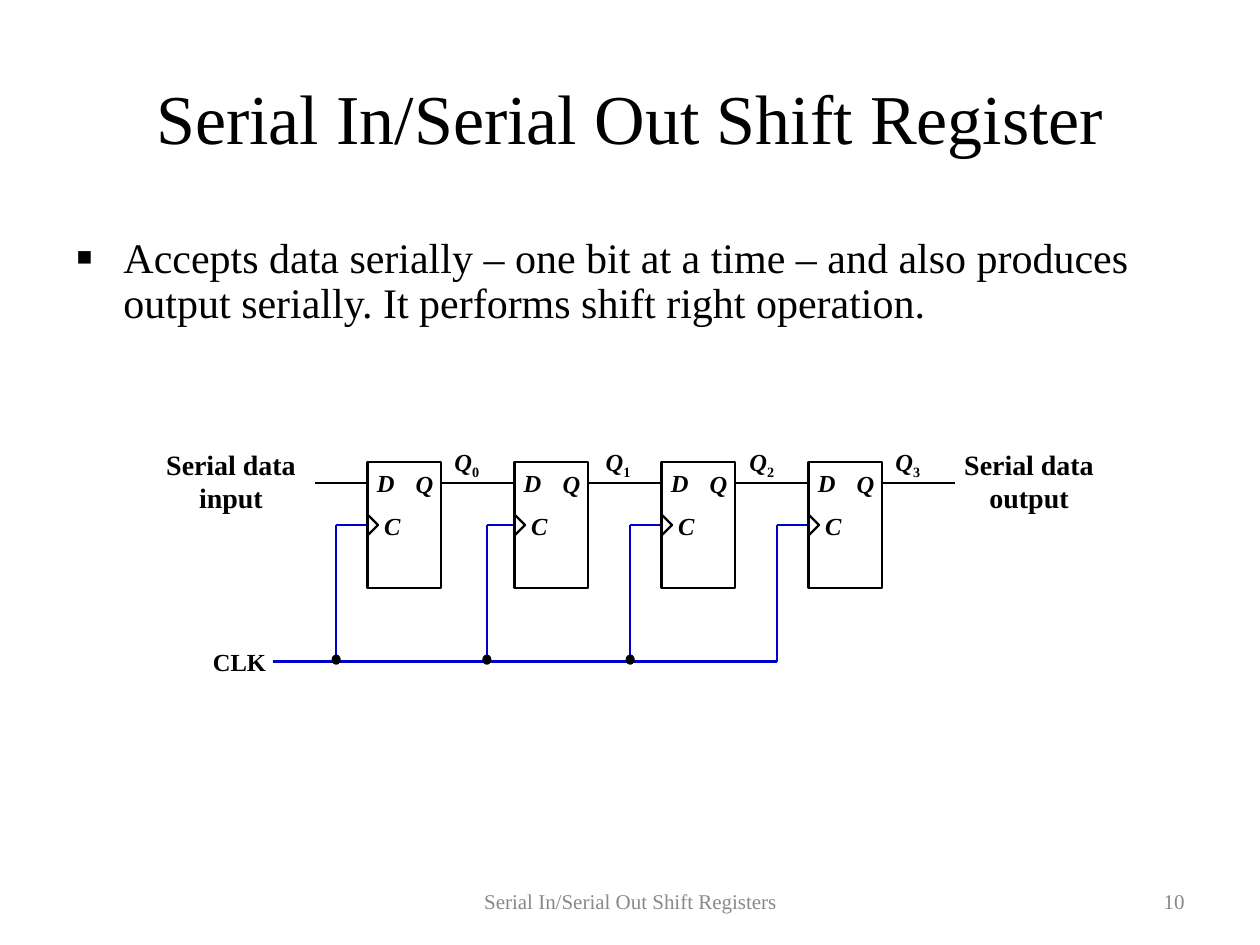
from lxml import etree
from pptx import Presentation
from pptx.dml.color import RGBColor
from pptx.enum.shapes import MSO_CONNECTOR, MSO_SHAPE
from pptx.enum.text import MSO_ANCHOR, MSO_AUTO_SIZE, PP_ALIGN
from pptx.oxml.ns import qn
from pptx.util import Inches, Pt

LEFT, CENTER, RIGHT = PP_ALIGN.LEFT, PP_ALIGN.CENTER, PP_ALIGN.RIGHT
TOP, MIDDLE = MSO_ANCHOR.TOP, MSO_ANCHOR.MIDDLE
STRAIGHT = MSO_CONNECTOR.STRAIGHT
RECTANGLE, OVAL, TRIANGLE = MSO_SHAPE.RECTANGLE, MSO_SHAPE.OVAL, MSO_SHAPE.ISOSCELES_TRIANGLE

BLACK = RGBColor(0x00, 0x00, 0x00)
CLOCK_BLUE = RGBColor(0x00, 0x00, 0xCC)
GREY = RGBColor(0x89, 0x89, 0x89)
FONT = "Times New Roman"

# Content
TITLE = "Serial In/Serial Out Shift Register"
BODY = ("Accepts data serially – one bit at a time – and also produces "
        "output serially. It performs shift right operation.")
FOOTER, PAGE_NUMBER = "Serial In/Serial Out Shift Registers", "10"

# Diagram grid: 12 units to the inch, every diagram length is in units
UNIT = Inches(1) / 12
FIRST, PITCH, WIDTH, HEIGHT = 35, 14, 7, 12
BOX_TOP, DATA_ROW, CLOCK_ROW, BUS_ROW = 44, 46, 50, 63
INPUT_START, BUS_START = 30, 26
# One entry per flip-flop: output subscript, label column, clock tap column
STAGES = [("0", 42.1, 32), ("1", 56.5, 46.35), ("2", 70.2, 60), ("3", 84.1, 74)]
# Pin name, offset from the left of the flip-flop, row
PINS = [("D", -0.3, 44), ("C", 0.4, 48.1), ("Q", 3.4, 44.1)]
# Side label, column
ENDS = [("Serial data input", 14), ("Serial data output", 90)]

deck = Presentation()
deck.slide_width, deck.slide_height = Inches(10), Inches(7.5)
page = deck.slides.add_slide(deck.slide_layouts[1])


def grid(*units):
    return [round(value * UNIT) for value in units]


def place(shape, left, top, width, height):
    shape.left, shape.top, shape.width, shape.height = map(Inches, (left, top, width, height))


def style(frame, size, color=BLACK, align=LEFT, anchor=TOP, before=0):
    frame.auto_size = MSO_AUTO_SIZE.NONE
    frame.vertical_anchor = anchor
    para = frame.paragraphs[0]
    para.alignment, para.space_before = align, Pt(before)
    para.font.name, para.font.size, para.font.color.rgb = FONT, Pt(size), color
    return para


def label(text, column, row, width, height, size=14, wrap=False, **options):
    frame = page.shapes.add_textbox(*grid(column, row, width, height)).text_frame
    frame.text = text
    para = style(frame, size, **options)
    frame.word_wrap = wrap
    para.font.bold = True
    return para


def wire(x1, y1, x2, y2, color=BLACK):
    line = page.shapes.add_connector(STRAIGHT, *grid(x1, y1, x2, y2))
    line.line.color.rgb, line.line.width = color, Pt(1.25)
    etree.SubElement(line._element.spPr, qn("a:effectLst"))


def outline(kind, column, row, width, height, weight):
    shape = page.shapes.add_shape(kind, *grid(column, row, width, height))
    shape.shadow.inherit = False
    shape.fill.background()
    shape.line.color.rgb, shape.line.width = BLACK, Pt(weight)
    return shape


# Title
title = page.shapes.title
place(title, 0.5, 0.3, 9, 1.25)
title.text_frame.text = TITLE
style(title.text_frame, 40, align=CENTER, anchor=MIDDLE)

# Bulleted body
body = page.placeholders[1]
place(body, 0.5, 1.83, 9.08, 0.83)
body.text_frame.text = BODY
para = style(body.text_frame, 24, before=12)
para.line_spacing = 0.9
properties = para._p.get_or_add_pPr()
properties.set("marL", str(Inches(0.38)))
properties.set("indent", str(-Inches(0.38)))
color = etree.SubElement(properties, qn("a:buClr"))
etree.SubElement(color, qn("a:srgbClr"), val=str(BLACK))
etree.SubElement(properties, qn("a:buSzPct"), val="120000")
etree.SubElement(properties, qn("a:buFont"), typeface=FONT)
etree.SubElement(properties, qn("a:buChar"), char="▪")
# Text properties must follow the bullet in the schema order
properties.append(properties.find(qn("a:defRPr")))

# Footer and page number
for text, left, width, align in [(FOOTER, 3.42, 3.17, CENTER), (PAGE_NUMBER, 7.17, 2.33, RIGHT)]:
    box = page.shapes.add_textbox(*map(Inches, (left, 6.95, width, 0.4)))
    box.text_frame.text = text
    box.text_frame.word_wrap = True
    style(box.text_frame, 12, GREY, align, MIDDLE, before=7.5)

# Clock bus and serial input
wire(BUS_START, BUS_ROW, STAGES[-1][2], BUS_ROW, CLOCK_BLUE)
label("CLK", 19.1, 61, 7.4, 4.1)
wire(INPUT_START, DATA_ROW, FIRST, DATA_ROW)
for text, column in ENDS:
    label(text, column, 42, 16, 7.7, size=16, wrap=True, align=CENTER, before=10)

# Flip-flops with their wires and labels
for index, (subscript, label_column, tap) in enumerate(STAGES):
    left = FIRST + index * PITCH
    right = left + WIDTH
    wire(right, DATA_ROW, left + PITCH, DATA_ROW)
    wire(tap, CLOCK_ROW, left, CLOCK_ROW, CLOCK_BLUE)
    wire(tap, CLOCK_ROW, tap, BUS_ROW, CLOCK_BLUE)
    if index < len(STAGES) - 1:
        dot = outline(OVAL, tap - 0.36, BUS_ROW - 0.6, 0.75, 0.85, 0.75)
        dot.fill.solid()
        dot.fill.fore_color.rgb = BLACK
    outline(RECTANGLE, left, BOX_TOP, WIDTH, HEIGHT, 1.5)
    outline(TRIANGLE, left - 0.5, CLOCK_ROW - 0.5, 2, 1, 1.25).rotation = 90
    for pin, offset, row in PINS:
        label(pin, left + offset, row, 4, 4.1).font.italic = True
    para = label("Q", label_column, 42, 4.8, 4.4)
    para.font.italic = True
    span = para.add_run()
    span.text = subscript
    span.font.italic = False
    span._r.get_or_add_rPr().set("baseline", "-25000")

deck.save("out.pptx")
